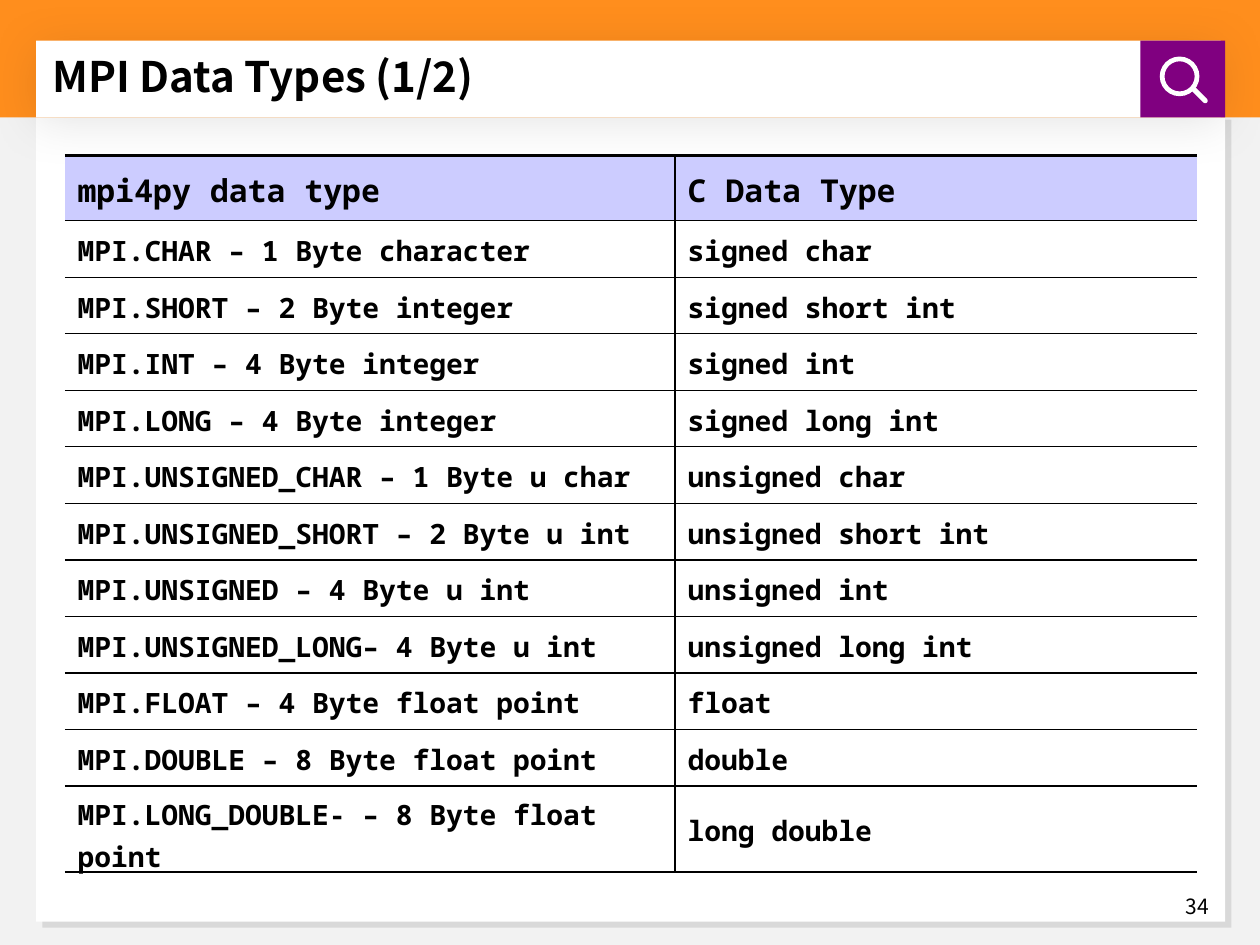
from dataclasses import dataclass

from lxml.etree import SubElement
from pptx import Presentation
from pptx.dml.color import RGBColor
from pptx.enum.shapes import MSO_SHAPE
from pptx.enum.text import MSO_ANCHOR, PP_ALIGN
from pptx.oxml.ns import qn
from pptx.util import Cm, Pt


@dataclass(frozen=True)
class Theme:
    black: str = "000000"
    white: str = "FFFFFF"
    gray: str = "F2F2F2"
    orange: str = "FF8E1D"
    purple: str = "800080"
    lilac: str = "CCCCFF"
    sans: str = "Noto Sans CJK KR"
    mono: str = "Noto Sans Mono"
    title: int = 24
    head: int = 18
    body: int = 16
    note: int = 12


theme = Theme()


def block(group, kind, left, top, width, height, color, shade=None):
    """Add a plain filled shape; shade is (blur pt, distance pt, angle)."""
    shape = group.add_shape(kind, Cm(left), Cm(top), Cm(width), Cm(height))
    shape.fill.solid()
    shape.fill.fore_color.rgb = RGBColor.from_string(color)
    shape.line.fill.background()
    shape.shadow.inherit = False
    if shade:
        blur, dist, angle = shade
        effects = shape._element.spPr.find(qn("a:effectLst"))
        outer = SubElement(effects, qn("a:outerShdw"), blurRad=str(Pt(blur)),
                           dist=str(Pt(dist)), dir=str(angle * 60000),
                           algn="tl", rotWithShape="0")
        tone = SubElement(outer, qn("a:srgbClr"), val=theme.black)
        SubElement(tone, qn("a:alpha"), val="10000")
    return shape


def write(frame, text, size, font=theme.sans, bold=False,
          align=PP_ALIGN.LEFT, space=1.0):
    frame.word_wrap = True
    frame.vertical_anchor = MSO_ANCHOR.MIDDLE
    para = frame.paragraphs[0]
    para.alignment = align
    para.line_spacing = space
    run = para.add_run()
    run.text = text
    run.font.name = font
    run.font.size = Pt(size)
    run.font.bold = bold
    run.font.color.rgb = RGBColor.from_string(theme.black)
    for tag in ("a:ea", "a:cs"):
        SubElement(run.font._element, qn(tag), typeface=font)


deck = Presentation()
deck.slide_width, deck.slide_height = Cm(25.4), Cm(19.05)
slide = deck.slides.add_slide(deck.slide_layouts[6])
shapes = slide.shapes

# Backdrop, page and title bar
rect = MSO_SHAPE.RECTANGLE
block(shapes, rect, 0, 1.75, 25.4, 17.3, theme.gray)
block(shapes, rect, 0.73, 2.29, 23.97, 16.29, theme.white, shade=(0, 5, 45))
block(shapes, rect, 0, 0, 25.4, 2.37, theme.orange)
block(shapes, rect, 0.73, 0.82, 23.88, 1.55, theme.white, shade=(27, 3, 90))

# Search icon
icon = shapes.add_group_shape().shapes
block(icon, rect, 22.99, 0.82, 1.71, 1.55, theme.purple)
lens = block(icon, MSO_SHAPE.DONUT, 23.38, 1.14, 0.8, 0.8, theme.white)
lens.adjustments[0] = 0.12
grip = block(icon, MSO_SHAPE.ROUNDED_RECTANGLE, 24.13, 1.7, 0.1, 0.43,
             theme.white)
grip.adjustments[0] = 0.5
grip.rotation = 315

# Title and page number
title = shapes.add_textbox(Cm(0.81), Cm(0.89), Cm(22.43), Cm(1.4))
write(title.text_frame, "MPI Data Types (1/2)", theme.title, bold=True,
      space=0.9)
number = shapes.add_textbox(Cm(19.08), Cm(18.01), Cm(5.54), Cm(0.53))
write(number.text_frame, "34", theme.note, align=PP_ALIGN.RIGHT)

# Table of types
rows = [
    ("mpi4py data type", "C Data Type"),
    ("MPI.CHAR – 1 Byte character", "signed char"),
    ("MPI.SHORT – 2 Byte integer", "signed short int"),
    ("MPI.INT – 4 Byte integer", "signed int"),
    ("MPI.LONG – 4 Byte integer", "signed long int"),
    ("MPI.UNSIGNED_CHAR – 1 Byte u char", "unsigned char"),
    ("MPI.UNSIGNED_SHORT – 2 Byte u int", "unsigned short int"),
    ("MPI.UNSIGNED – 4 Byte u int", "unsigned int"),
    ("MPI.UNSIGNED_LONG– 4 Byte u int", "unsigned long int"),
    ("MPI.FLOAT – 4 Byte float point", "float"),
    ("MPI.DOUBLE – 8 Byte float point", "double"),
    ("MPI.LONG_DOUBLE- – 8 Byte float point", "long double"),
]
table = shapes.add_table(len(rows), 2, Cm(1.31), Cm(3.14), Cm(22.82),
                         Cm(13.8)).table
table.first_row = table.horz_banding = False
table.columns[0].width, table.columns[1].width = Cm(12.3), Cm(10.52)

for r, row in enumerate(rows):
    head = r == 0
    table.rows[r].height = Cm(1.31 if head else 1.14)
    for c, text in enumerate(row):
        cell = table.cell(r, c)
        write(cell.text_frame, text, theme.head if head else theme.body,
              font=theme.mono, bold=True, space=1.1)
        cell.vertical_anchor = MSO_ANCHOR.MIDDLE
        edges = {"L": c, "R": 1 - c, "T": 2.25 if head else 1, "B": 1}
        props = cell._tc.get_or_add_tcPr()
        for side, width in edges.items():
            line = SubElement(props, qn(f"a:ln{side}"), w=str(Pt(width)))
            if width:
                paint = SubElement(line, qn("a:solidFill"))
                SubElement(paint, qn("a:srgbClr"), val=theme.black)
            else:
                SubElement(line, qn("a:noFill"))
        if head:
            cell.fill.solid()
            cell.fill.fore_color.rgb = RGBColor.from_string(theme.lilac)
        else:
            cell.fill.background()

deck.save("out.pptx")
